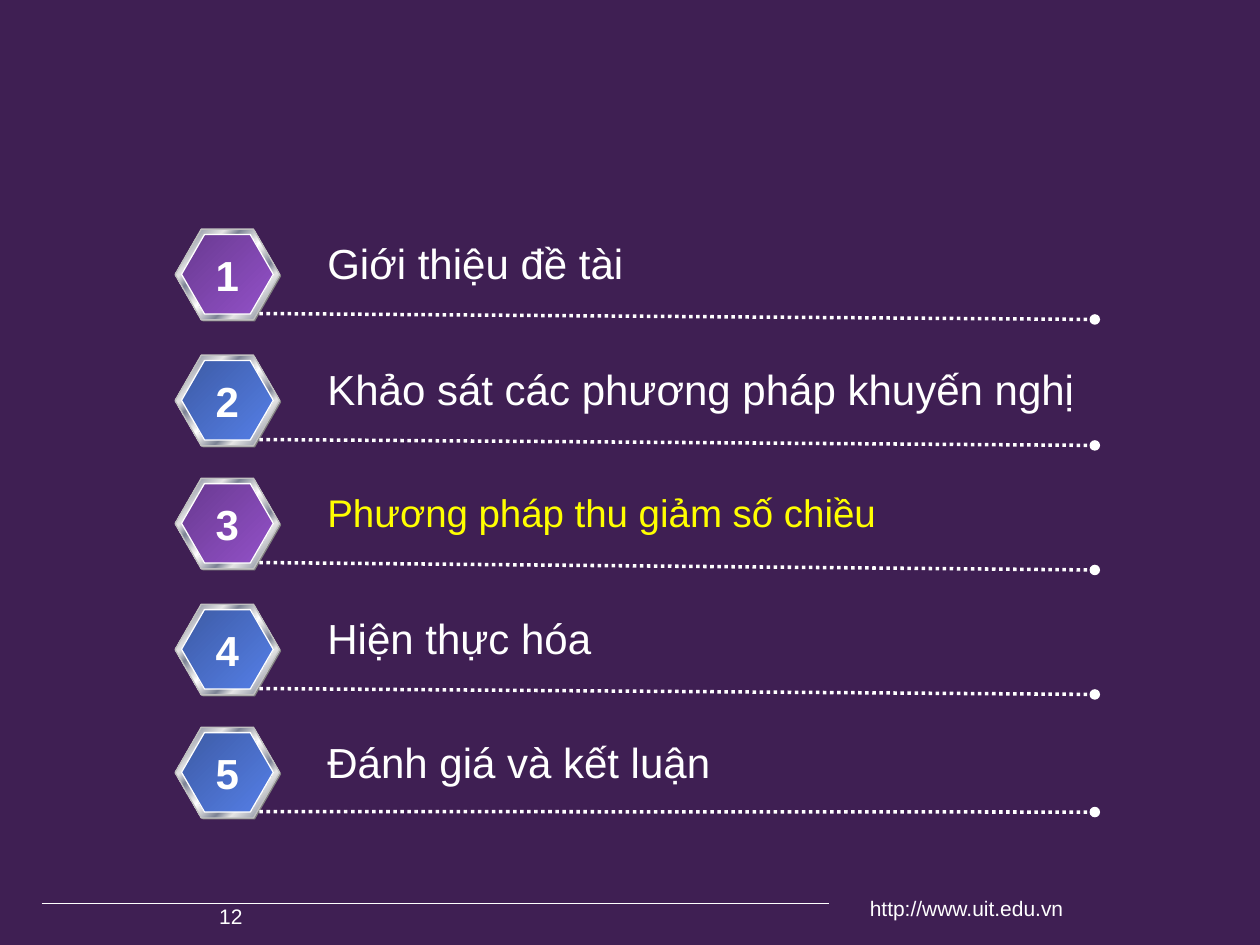
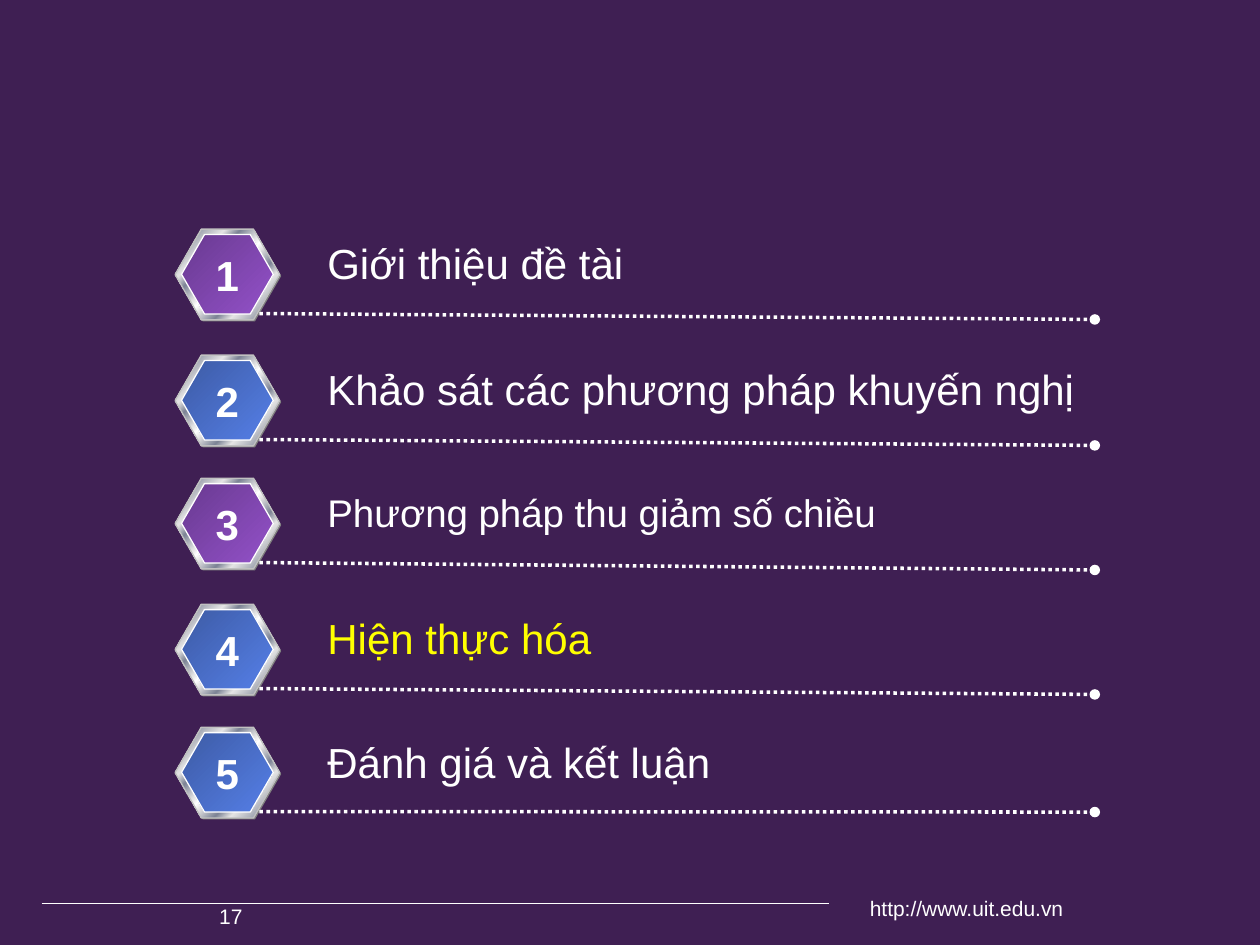
from lxml import etree
from pptx import Presentation
from pptx.dml import color
from pptx.enum import dml, shapes, text
from pptx.oxml import ns
from pptx.util import Cm, Pt

COLORS = {
    "background": "3F1F53",
    "text": "FFFFFF",
    "current": "FFFF00",
    "shadow": "808080",
    "rim": "C0C0C0",
    "silver": "E6E6E6",
    "steel": "7D8496",
}
FONT = "Arial"
SILVER, STEEL = COLORS["silver"], COLORS["steel"]
METAL = [(0, SILVER), (7, STEEL), (26, SILVER), (34, STEEL), (46, SILVER),
         (50, COLORS["text"]), (54, SILVER), (66, STEEL), (74, SILVER),
         (93, STEEL), (100, SILVER)]
PURPLE = [(0, "693A90"), (100, "9351C9")]
BLUE = [(0, "3D5BA5"), (100, "557FE7")]

# title, size, badge gradient, badge top, title offset, drop of the dotted rule
AGENDA = [
    ("Giới thiệu đề tài", 24, PURPLE, 4.62, 0.05, 0.12),
    ("Khảo sát các phương pháp khuyến nghị", 24, BLUE, 7.16, 0.05, 0.12),
    ("Phương pháp thu giảm số chiều", 22, PURPLE, 9.64, 0.1, 0.15),
    ("Hiện thực hóa", 24, BLUE, 12.18, 0.05, 0.12),
    ("Đánh giá và kết luận", 24, BLUE, 14.66, 0.07, 0.01),
]
PAGES = [("12", 3), ("17", 4)]


def rgb(name):
    return color.RGBColor.from_string(COLORS[name])


def set_gradient(sp, stops):
    fill = etree.Element(ns.qn("a:gradFill"), rotWithShape="1")
    stop_list = etree.SubElement(fill, ns.qn("a:gsLst"))
    for percent, value in stops:
        stop = etree.SubElement(stop_list, ns.qn("a:gs"), pos=str(percent * 1000))
        etree.SubElement(stop, ns.qn("a:srgbClr"), val=value)
    etree.SubElement(fill, ns.qn("a:lin"), ang="2700000", scaled="1")
    sp._element.spPr.find(ns.qn("a:prstGeom")).addnext(fill)


def add_text(slide, content, left, top, width, height, size, ink="text",
             align=text.PP_ALIGN.LEFT, bold=False, wrap=False):
    tf = slide.shapes.add_textbox(Cm(left), Cm(top), Cm(width), Cm(height)).text_frame
    tf.word_wrap = wrap
    if not wrap:
        tf.auto_size = text.MSO_AUTO_SIZE.SHAPE_TO_FIT_TEXT
    tf.text = content
    p = tf.paragraphs[0]
    p.alignment = align
    font = p.runs[0].font
    font.name, font.size, font.bold = FONT, Pt(size), bold
    font.color.rgb = rgb(ink)


def add_line(slide, x1, y1, x2, y2, width, dotted=False):
    line = slide.shapes.add_connector(
        shapes.MSO_CONNECTOR.STRAIGHT, Cm(x1), Cm(y1), Cm(x2), Cm(y2))
    line.line.color.rgb = rgb("text")
    line.line.width = Pt(width)
    if dotted:
        line.line.dash_style = dml.MSO_LINE.ROUND_DOT
        etree.SubElement(line.line._get_or_add_ln(), ns.qn("a:tailEnd"), type="oval")
    etree.SubElement(line._element.spPr, ns.qn("a:effectLst"))


def add_hexagon(group, left, top, width, height, outline=None, stops=None):
    sp = group.shapes.add_shape(
        shapes.MSO_SHAPE.HEXAGON, Cm(left), Cm(top), Cm(width), Cm(height))
    sp.adjustments[0] = 0.289
    sp.shadow.inherit = False
    if stops:
        set_gradient(sp, stops)
    else:
        sp.fill.solid()
        sp.fill.fore_color.rgb = rgb("shadow")
    if outline:
        sp.line.color.rgb = rgb(outline)
        sp.line.width = Pt(0.75)
    else:
        sp.line.fill.background()


def add_badge(slide, top, stops):
    group = slide.shapes.add_group_shape()
    add_hexagon(group, 3.56, top + 0.03, 2.11, 1.83)
    add_hexagon(group, 3.53, top, 2.11, 1.83, "rim", METAL)
    add_hexagon(group, 3.66, top + 0.11, 1.85, 1.6, "text", stops)


def add_agenda_item(slide, number, item, ink):
    title, size, stops, top, offset, drop = item
    add_badge(slide, top, stops)
    rule = top + 1.7
    add_line(slide, 5.23, rule, 22.07, rule + drop, 2, dotted=True)
    add_text(slide, title, 6.35, top + offset, 15.72, 1.27, size, ink)
    add_text(slide, str(number), 4.09, top + 0.28, 0.99, 1.27, 24,
             align=text.PP_ALIGN.CENTER, bold=True)


def add_footer(slide, page):
    add_line(slide, 0.84, 18.21, 16.71, 18.21, 0.5)
    add_text(slide, "http://www.uit.edu.vn", 16.71, 17.93, 4.98, 0.86, 12,
             align=text.PP_ALIGN.RIGHT, wrap=True)
    add_text(slide, page, 4.17, 18.08, 3.6, 0.69, 12, wrap=True)


def add_agenda_slide(prs, page, current):
    slide = prs.slides.add_slide(prs.slide_layouts[6])
    slide.background.fill.solid()
    slide.background.fill.fore_color.rgb = rgb("background")
    add_footer(slide, page)
    for number, item in enumerate(AGENDA, 1):
        add_agenda_item(slide, number, item, "current" if number == current else "text")


def main():
    prs = Presentation()
    prs.slide_width, prs.slide_height = Cm(25.4), Cm(19.05)
    for page, current in PAGES:
        add_agenda_slide(prs, page, current)
    prs.save("out.pptx")


if __name__ == "__main__":
    main()
